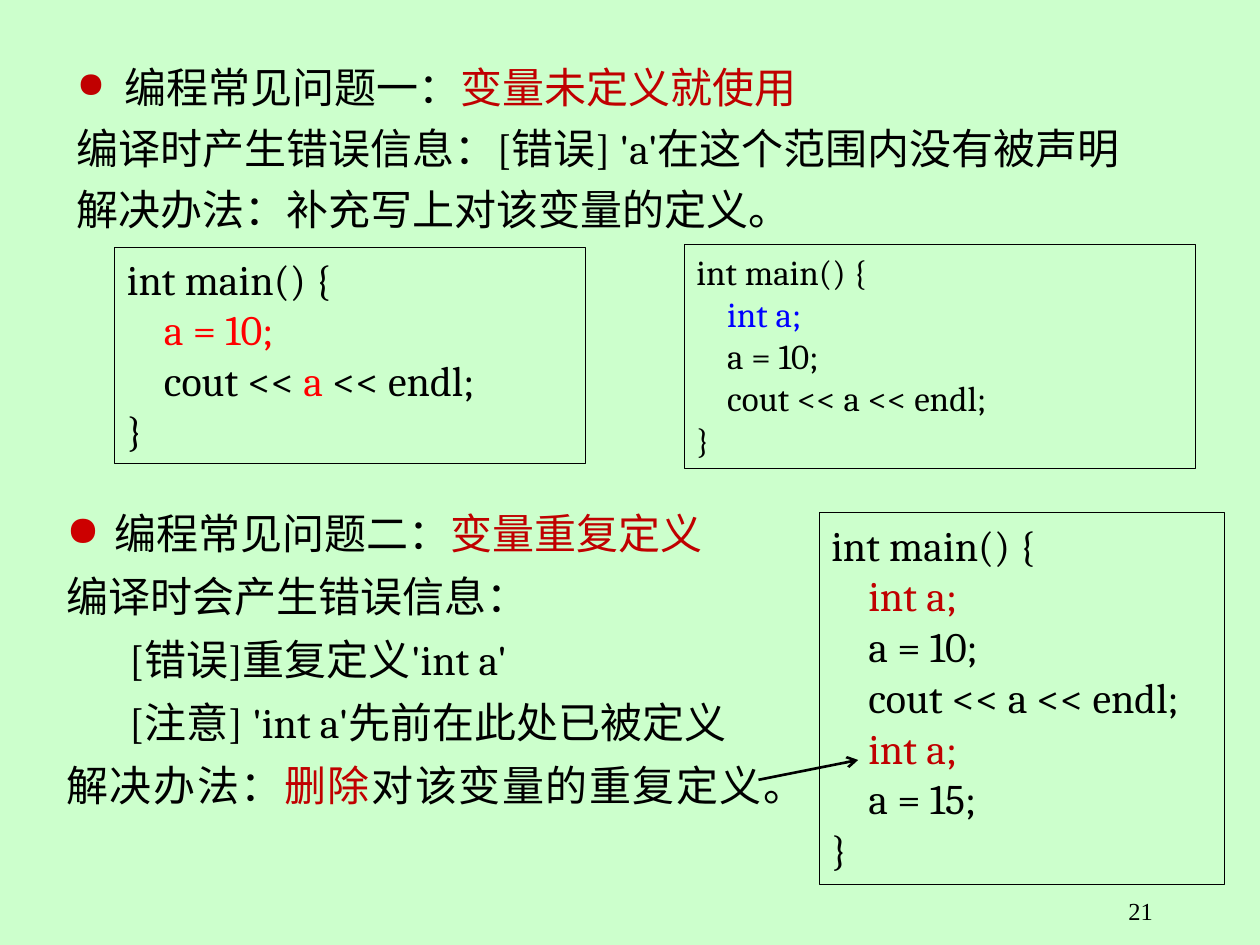
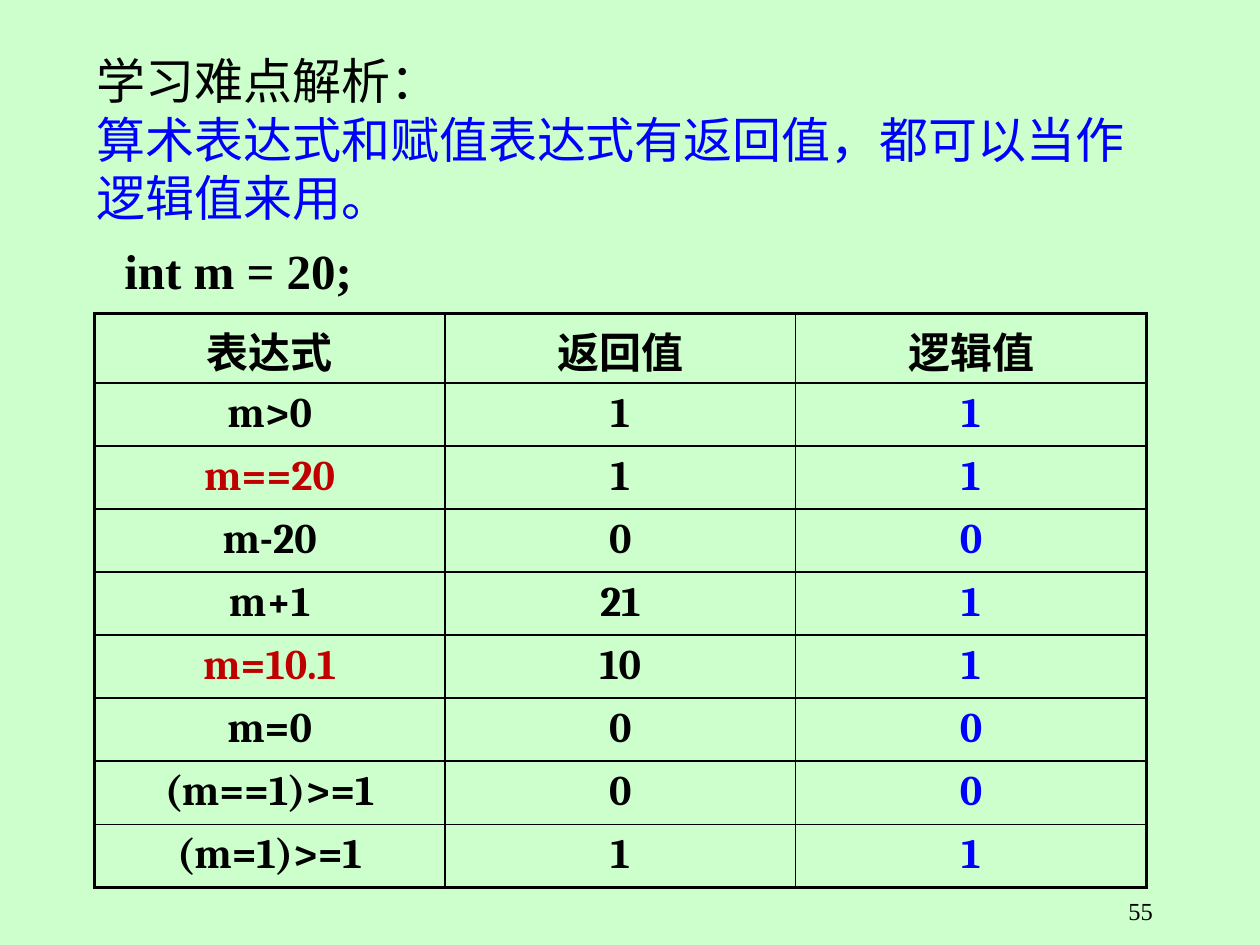
from dataclasses import dataclass

import pptx
import pptx.dml.color
import pptx.enum.lang
import pptx.enum.shapes
import pptx.enum.text
import pptx.oxml
import pptx.oxml.ns
import pptx.util
from pptx.util import Cm, Pt

ALIGN = pptx.enum.text.PP_ALIGN
ANCHOR = pptx.enum.text.MSO_ANCHOR
SHAPES = pptx.enum.shapes


@dataclass(frozen=True)
class Theme:
    background: str = "CCFFCC"
    ink: str = "000000"
    key: str = "C00000"
    bullet: str = "CC0000"
    error: str = "FF0000"
    blue: str = "0000FF"
    body_font: str = "Cambria"
    plain_font: str = "Times New Roman"
    heading: int = 28
    body: int = 24
    small_code: int = 20
    page_number: int = 14
    thin: float = 0.5
    grid: float = 1
    frame: float = 2.25
    arrow: float = 1.5


THEME = Theme()


def rgb(color):
    return pptx.dml.color.RGBColor.from_string(color)


def drawing_xml(markup):
    """Parse one element, adding the drawing namespace to its first tag."""
    tag, rest = markup.split(" ", 1)
    return pptx.oxml.parse_xml(f"{tag} {pptx.oxml.ns.nsdecls('a')} {rest}")


def add_runs(paragraph, parts, size, font=THEME.body_font, bold=False):
    """Add parts, each a string in ink or a (string, colour) pair."""
    for part in parts:
        words, color = (part, THEME.ink) if isinstance(part, str) else part
        run = paragraph.add_run()
        run.text = words
        run.font.size = Pt(size)
        run.font.name = font
        run.font.bold = bold
        run.font.color.rgb = rgb(color)
        run.font.language_id = pptx.enum.lang.MSO_LANGUAGE_ID.SIMPLIFIED_CHINESE


def write_lines(frame, lines, size, align=ALIGN.LEFT, gap=0, spacing=None, **style):
    """Write one paragraph per line and return the paragraphs."""
    frame.word_wrap = True
    frame.vertical_anchor = ANCHOR.TOP
    for index, parts in enumerate(lines):
        paragraph = frame.add_paragraph() if index else frame.paragraphs[0]
        paragraph.alignment = align
        if index and gap:
            paragraph.space_before = Pt(gap)
        if spacing:
            paragraph.line_spacing = spacing
        add_runs(paragraph, parts, size, **style)
    return frame.paragraphs


def indent(paragraph, left, first):
    properties = paragraph._p.get_or_add_pPr()
    properties.set("marL", str(Cm(left)))
    properties.set("indent", str(Cm(first)))


def add_bullet(paragraph, color, percent=100):
    indent(paragraph, 0.97, -0.97)
    properties = paragraph._p.get_or_add_pPr()
    for markup in (
        f'<a:buClr ><a:srgbClr val="{color}"/></a:buClr>',
        f'<a:buSzPct val="{percent * 1000}"/>',
        '<a:buChar char="●"/>',
    ):
        properties.append(drawing_xml(markup))


def add_text(slide, place, lines, size, **style):
    box = slide.shapes.add_textbox(*map(Cm, place))
    return write_lines(box.text_frame, lines, size, **style)


def add_code(slide, place, lines, size=THEME.body, **style):
    frame = slide.shapes.add_shape(SHAPES.MSO_SHAPE.RECTANGLE, *map(Cm, place))
    frame.shadow.inherit = False
    frame.fill.background()
    frame.line.color.rgb = rgb(THEME.ink)
    frame.line.width = Pt(THEME.thin)
    write_lines(frame.text_frame, lines, size, **style)


def add_arrow(slide, start, end):
    arrow = slide.shapes.add_connector(
        SHAPES.MSO_CONNECTOR.STRAIGHT, *map(Cm, start + end))
    arrow.line.color.rgb = rgb(THEME.ink)
    arrow.line.width = Pt(THEME.arrow)
    arrow.line._get_or_add_ln().append(drawing_xml('<a:tailEnd type="arrow"/>'))
    arrow._element.spPr.append(drawing_xml("<a:effectLst />"))


def set_borders(cell, widths):
    """Draw the left, right, top and bottom borders in these widths."""
    properties = cell._tc.get_or_add_tcPr()
    for side, width in zip("LRTB", widths):
        properties.append(drawing_xml(
            f'<a:ln{side} w="{Pt(width)}"><a:solidFill>'
            f'<a:srgbClr val="{THEME.ink}"/></a:solidFill></a:ln{side}>'))


def add_grid(slide, left, top, column_width, heights, rows):
    last_row, last_column = len(rows) - 1, len(rows[0]) - 1
    grid = slide.shapes.add_table(
        len(rows), len(rows[0]), Cm(left), Cm(top),
        Cm(column_width * len(rows[0])), Cm(sum(heights))).table
    grid.first_row = grid.horz_banding = False
    for column in grid.columns:
        column.width = Cm(column_width)
    for r, (height, row) in enumerate(zip(heights, rows)):
        grid.rows[r].height = Cm(height)
        for c, part in enumerate(row):
            cell = grid.cell(r, c)
            on_frame = (c == 0, c == last_column, r == 0, r == last_row)
            set_borders(cell, [THEME.frame if outer else THEME.grid for outer in on_frame])
            cell.fill.background()
            write_lines(cell.text_frame, [[part]], THEME.body, align=ALIGN.CENTER, bold=True)


def add_page(deck, number):
    slide = deck.slides.add_slide(deck.slide_layouts[6])
    slide.background.fill.solid()
    slide.background.fill.fore_color.rgb = rgb(THEME.background)
    add_text(slide, (18.21, 17.93, 5.28, 0.71), [[number]], THEME.page_number,
             align=ALIGN.RIGHT, font=THEME.plain_font)
    return slide


def build_common_errors(deck):
    slide = add_page(deck, "21")
    undefined = add_text(slide, (1.3, 1.12, 22.81, 3.86), [
        ["编程常见问题一：", ("变量未定义就使用", THEME.key)],
        ["编译时产生错误信息：[错误] 'a'在这个范围内没有被声明"],
        ["解决办法：补充写上对该变量的定义。"],
    ], THEME.body, align=ALIGN.JUSTIFY, gap=6)
    add_bullet(undefined[0], THEME.key, 85)
    indent(undefined[1], 0.97, -0.97)

    add_code(slide, (13.79, 4.93, 10.31, 4.52), [
        ["int main() {"],
        [("    int a;", THEME.blue)],
        ["    a = 10;"],
        ["    cout << a << endl;"],
        ["}"],
    ], THEME.small_code)
    add_code(slide, (2.31, 4.98, 9.5, 4.37), [
        ["int main() {"],
        [("    a = 10;", THEME.error)],
        ["    cout << ", ("a", THEME.error), " << endl;"],
        ["}"],
    ], align=ALIGN.JUSTIFY)

    redefined = add_text(slide, (1.09, 9.86, 14.55, 6.65), [
        ["编程常见问题二：", ("变量重复定义", THEME.key)],
        ["编译时会产生错误信息："],
        ["[错误]重复定义'int a'"],
        ["[注意] 'int a'先前在此处已被定义"],
        ["解决办法：", ("删除", THEME.key), "对该变量的重复定义。"],
    ], THEME.body, align=ALIGN.JUSTIFY, spacing=1.25)
    add_bullet(redefined[0], THEME.bullet)
    for message in redefined[2:4]:
        indent(message, 0, 1.27)

    add_code(slide, (16.51, 10.34, 8.18, 7.49), [
        ["int main() {"],
        [("    int a;", THEME.key)],
        ["    a = 10;"],
        ["    cout << a << endl;"],
        [("    int a;", THEME.key)],
        ["    a = 15;"],
        ["}"],
    ], align=ALIGN.JUSTIFY, gap=0.2)
    add_arrow(slide, (15.29, 15.72), (17.3, 15.32))


def build_logic_values(deck):
    slide = add_page(deck, "55")
    results = [
        ("m>0", "1", "1"),
        (("m==20", THEME.key), "1", "1"),
        ("m-20", "0", "0"),
        ("m+1", "21", "1"),
        (("m=10.1", THEME.key), "10", "1"),
        ("m=0", "0", "0"),
        ("(m==1)>=1", "0", "0"),
        ("(m=1)>=1", "1", "1"),
    ]
    rows = [("表达式", "返回值", "逻辑值")]
    rows += [(expression, value, (logic, THEME.blue)) for expression, value, logic in results]
    add_grid(slide, 1.9, 6.32, 7.07, [1.4] + [1.27] * len(results), rows)
    add_text(slide, (1.7, 0.89, 21.62, 3.84), [
        ["学习难点解析："],
        [("算术表达式和赋值表达式有返回值，都可以当作逻辑值来用。", THEME.blue)],
    ], THEME.heading)
    add_text(slide, (1.7, 4.72, 6.2, 1.45), [["int m = 20;"]], THEME.heading,
             align=ALIGN.CENTER, font=THEME.plain_font, bold=True)


def main():
    deck = pptx.Presentation()
    deck.slide_width, deck.slide_height = Cm(25.4), Cm(19.05)
    build_common_errors(deck)
    build_logic_values(deck)
    deck.save("out.pptx")


if __name__ == "__main__":
    main()
